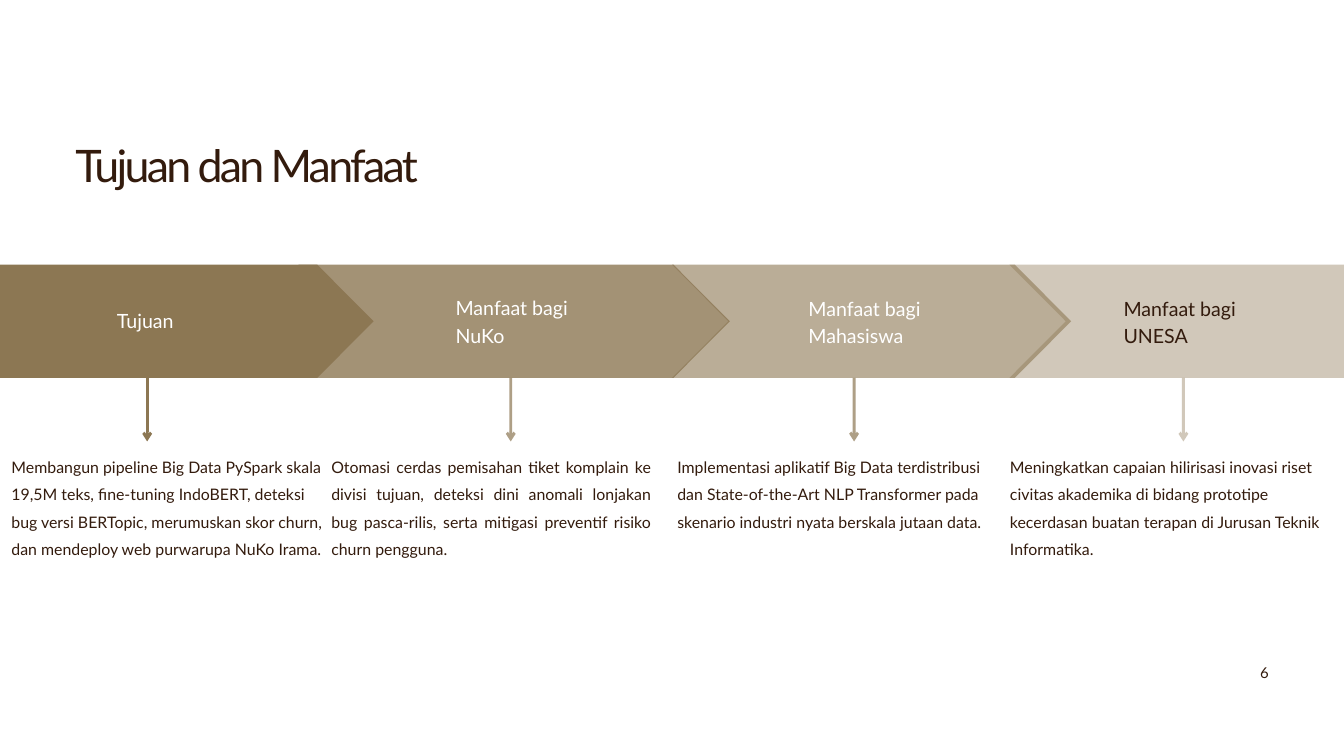
from dataclasses import dataclass

from lxml import etree
from pptx import Presentation
from pptx import util as u
from pptx.dml.color import RGBColor
from pptx.enum import shapes, text
from pptx.oxml import ns

WIDTH, HEIGHT = u.Inches(20), u.Inches(11.25)
COLUMNS = ROWS = 20
BAND_TOP, BAND_MIDDLE, BAND_BOTTOM = 7, 8.5, 10
TIP = 0.84
ARROW_END = 11.68
DETAIL_TOP, DETAIL_WIDTH = 11.88, 4.76


@dataclass(frozen=True)
class Theme:
    font: str = "Lato"
    ink: str = "331B0D"
    light: str = "FFFFFF"
    band: str = "8C7753"
    title: int = 48
    label: int = 21
    detail: int = 17
    number: int = 16
    leading: float = 29.4
    arrow: int = 3


THEME = Theme()


@dataclass(frozen=True)
class Stage:
    left: float
    shoulder: float
    opacity: int
    label: str
    label_box: tuple
    label_color: str
    arrow_column: float
    arrow_opacity: int
    detail: str
    detail_left: float
    detail_rows: float
    align: text.PP_ALIGN = text.PP_ALIGN.LEFT


STAGES = [
    Stage(0, 4.72, 100, "Tujuan", (1.74, 8.07, 3.07, 0.71), THEME.light, 2.19, 100,
          "Membangun pipeline Big Data PySpark skala 19,5M teks, fine-tuning IndoBERT, "
          "deteksi bug versi BERTopic, merumuskan skor churn, dan mendeploy web "
          "purwarupa NuKo Irama.", 0.17, 3.59),
    Stage(4.44, 10.02, 80, "Manfaat bagi NuKo", (6.78, 7.73, 2, 1.44), THEME.light, 7.6, 70,
          "Otomasi cerdas pemisahan tiket komplain ke divisi tujuan, deteksi dini "
          "anomali lonjakan bug pasca-rilis, serta mitigasi preventif risiko churn "
          "pengguna.", 4.93, 3.59, text.PP_ALIGN.JUSTIFY),
    Stage(10, 15.1, 60, "Manfaat bagi Mahasiswa", (12.03, 7.75, 2, 1.44), THEME.light, 12.71, 70,
          "Implementasi aplikatif Big Data terdistribusi dan State-of-the-Art NLP "
          "Transformer pada skenario industri nyata berskala jutaan data.", 10.08, 2.88),
    Stage(15.02, 20.51, 40, "Manfaat bagi UNESA", (16.72, 7.75, 2.57, 1.44), THEME.ink, 17.61, 40,
          "Meningkatkan capaian hilirisasi inovasi riset civitas akademika di bidang "
          "prototipe kecerdasan buatan terapan di Jurusan Teknik Informatika.", 15.03, 2.15),
]


def col(n):
    return round(WIDTH * n / COLUMNS)


def row(n):
    return round(HEIGHT * n / ROWS)


def add_text(slide, words, box, *, size, leading, color=THEME.ink,
             align=text.PP_ALIGN.LEFT, tracking=0):
    left, top, width, height = box
    frame = slide.shapes.add_textbox(col(left), row(top), col(width), row(height)).text_frame
    frame.margin_left = frame.margin_top = frame.margin_right = frame.margin_bottom = 0
    frame.word_wrap = True
    frame.auto_size = text.MSO_AUTO_SIZE.SHAPE_TO_FIT_TEXT
    paragraph = frame.paragraphs[0]
    paragraph.alignment = align
    paragraph.line_spacing = u.Pt(leading)
    run = paragraph.add_run()
    run.text = words
    run.font.name = THEME.font
    run.font.size = u.Pt(size)
    run.font.color.rgb = RGBColor.from_string(color)
    if tracking:
        run.font._element.set("spc", str(round(tracking * 100)))


def set_opacity(element, percent):
    if percent < 100:
        color = next(element.iter(ns.qn("a:srgbClr")))
        etree.SubElement(color, ns.qn("a:alpha")).set("val", str(percent * 1000))


def add_chevron(slide, stage):
    left, shoulder = stage.left, stage.shoulder
    outline = [(shoulder, BAND_TOP), (shoulder + TIP, BAND_MIDDLE),
               (shoulder, BAND_BOTTOM), (left, BAND_BOTTOM)]
    if left > 0:
        outline.append((left + TIP, BAND_MIDDLE))
    builder = slide.shapes.build_freeform(col(left), row(BAND_TOP))
    builder.add_line_segments([(col(x), row(y)) for x, y in outline], close=True)
    chevron = builder.convert_to_shape()
    chevron.shadow.inherit = False
    chevron.fill.solid()
    chevron.fill.fore_color.rgb = RGBColor.from_string(THEME.band)
    chevron.line.fill.background()
    set_opacity(chevron._element.spPr, stage.opacity)


def add_arrow(slide, column, opacity):
    arrow = slide.shapes.add_connector(shapes.MSO_CONNECTOR.STRAIGHT, col(column),
                                       row(BAND_BOTTOM), col(column), row(ARROW_END))
    arrow.line.width = u.Pt(THEME.arrow)
    arrow.line.color.rgb = RGBColor.from_string(THEME.band)
    properties = arrow._element.spPr
    set_opacity(properties, opacity)
    etree.SubElement(properties.find(ns.qn("a:ln")), ns.qn("a:tailEnd")).set("type", "arrow")
    etree.SubElement(properties, ns.qn("a:effectLst"))


def main():
    deck = Presentation()
    deck.slide_width, deck.slide_height = WIDTH, HEIGHT
    slide = deck.slides.add_slide(deck.slide_layouts[6])

    add_text(slide, "Tujuan dan Manfaat", (1.12, 3.88, 8.88, 1.24),
             size=THEME.title, leading=THEME.title, tracking=-2.9)
    add_text(slide, "6", (13.89, 17.48, 4.99, 0.53), size=THEME.number,
             leading=22.4, align=text.PP_ALIGN.RIGHT)

    for stage in STAGES:
        add_chevron(slide, stage)
    for stage in STAGES:
        add_text(slide, stage.label, stage.label_box, size=THEME.label,
                 leading=THEME.leading, color=stage.label_color)
        add_arrow(slide, stage.arrow_column, stage.arrow_opacity)
        add_text(slide, stage.detail,
                 (stage.detail_left, DETAIL_TOP, DETAIL_WIDTH, stage.detail_rows),
                 size=THEME.detail, leading=THEME.leading, align=stage.align)

    deck.save("out.pptx")


if __name__ == "__main__":
    main()
